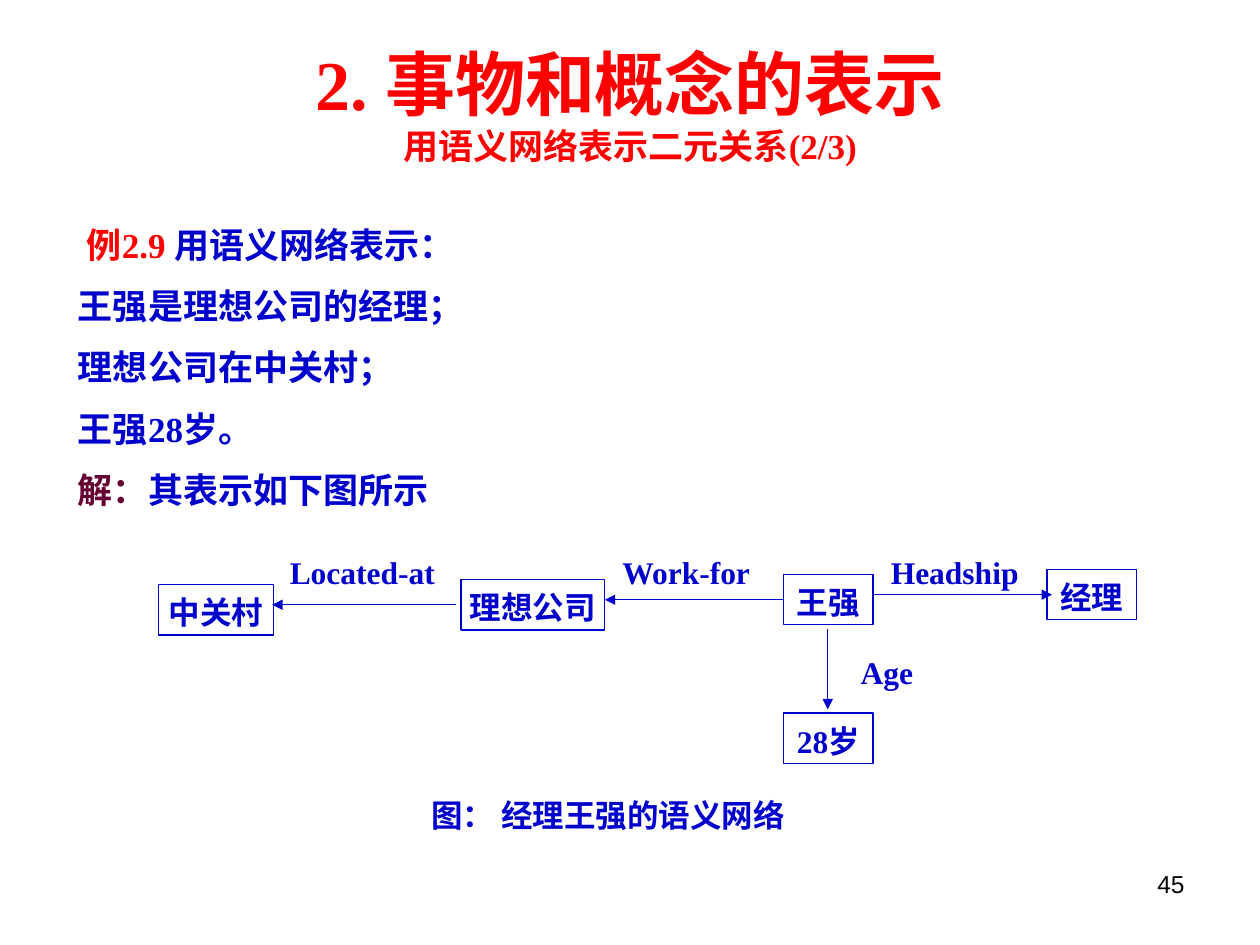
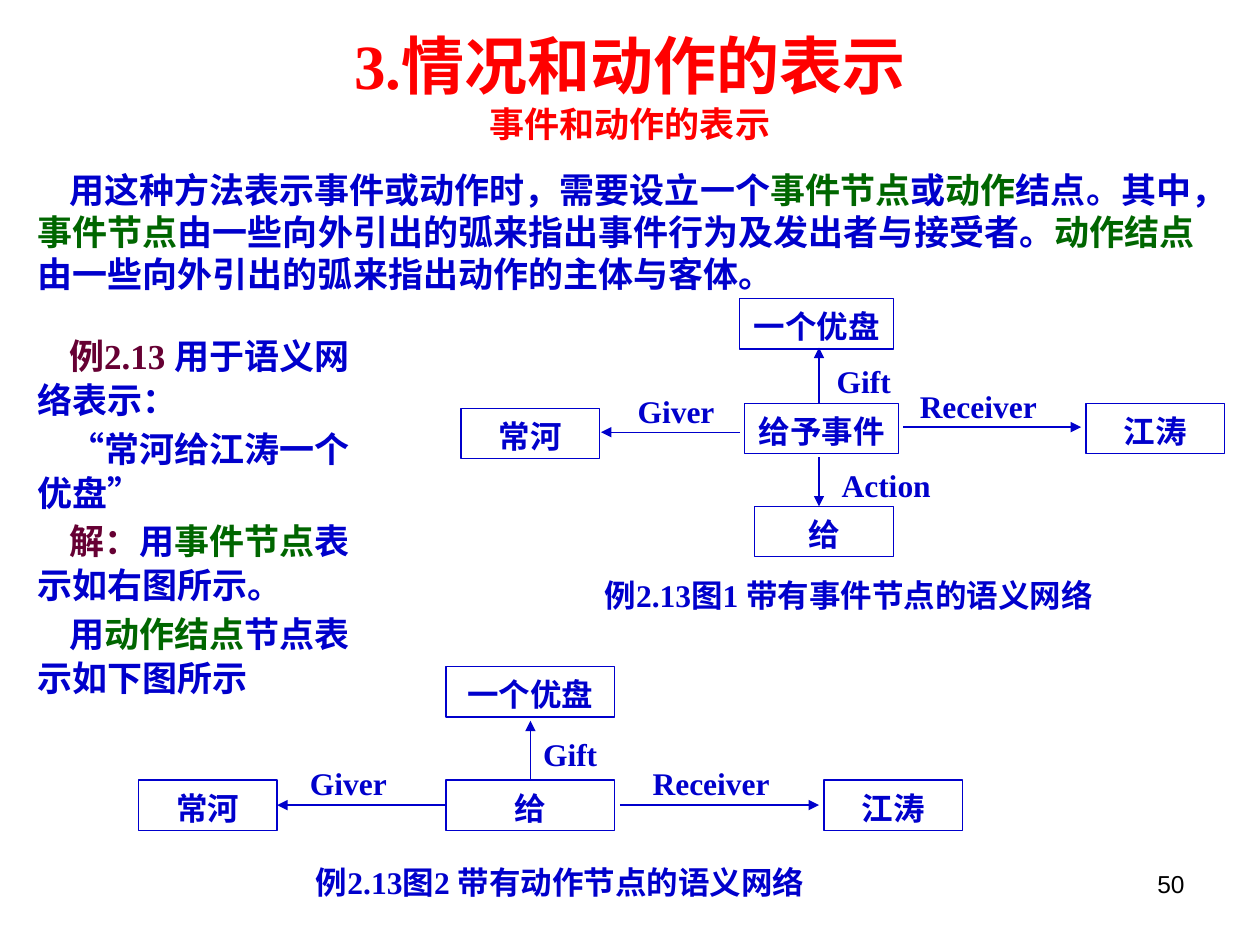
from lxml import etree
from pptx import Presentation
from pptx.dml.color import RGBColor
from pptx.enum.shapes import MSO_CONNECTOR, MSO_SHAPE
from pptx.enum.text import MSO_ANCHOR, PP_ALIGN
from pptx.oxml.ns import qn
from pptx.util import Inches, Pt

LEFT, CENTER, RIGHT = PP_ALIGN.LEFT, PP_ALIGN.CENTER, PP_ALIGN.RIGHT
TOP, MIDDLE = MSO_ANCHOR.TOP, MSO_ANCHOR.MIDDLE
RECTANGLE, STRAIGHT = MSO_SHAPE.RECTANGLE, MSO_CONNECTOR.STRAIGHT

COLORS = {"title": "FF0000", "text": "0000CC", "term": "006600",
          "lead": "660033", "number": "000000"}
SERIF, SANS, HAN = "Times New Roman", "Arial", "Noto Sans CJK SC"
LINE_HEIGHT = 1.2   # of the text size
TEXT_DROP = 0.02    # inches, levels the Han font's deep descent
BOX_HEIGHT, LABEL_HEIGHT = 0.4, 0.32
INDENT = 0.25

# Paragraphs are lists of (text, colour) spans.
# Boxes: text, left, top, width. Labels: the same. Arrows: from x, y, to x, y.
PAGES = [
    {
        "number": "45",
        "title": ("2. 事物和概念的表示", 40),
        "subtitle": "用语义网络表示二元关系(2/3)",
        "title_middle": 0.8,
        "bodies": [
            {"at": (0.27, 1.55, 9.29, 2.53), "spacing": 35,
             "margin": INDENT, "indents": [0.07, 0, 0, 0, 0],
             "paragraphs": [
                 [("例2.9 ", "title"), ("用语义网络表示：", "text")],
                 [("王强是理想公司的经理；", "text")],
                 [("理想公司在中关村；", "text")],
                 [("王强28岁。", "text")],
                 [("解：", "lead"), ("其表示如下图所示", "text")],
             ]},
        ],
        "boxes": [
            ("中关村", 1.26, 4.64, 0.91),
            ("理想公司", 3.66, 4.6, 1.14),
            ("王强", 6.22, 4.56, 0.71),
            ("经理", 8.31, 4.52, 0.71),
            ("28岁", 6.22, 5.66, 0.71),
        ],
        "labels": [
            ("Located-at", 2.28, 4.36, 1.34),
            ("Work-for", 4.92, 4.36, 1.14),
            ("Headship", 7.05, 4.36, 1.18),
            ("Age", 6.81, 5.15, 0.51),
        ],
        "arrows": [
            (3.62, 4.8, 2.16, 4.8),
            (6.22, 4.76, 4.8, 4.76),
            (6.93, 4.72, 8.35, 4.72),
            (6.57, 4.99, 6.57, 5.63),
        ],
        "captions": [("图： 经理王强的语义网络", 2.64, 6.25, 4.37)],
    },
    {
        "number": "50",
        "title": ("3.情况和动作的表示", 36),
        "subtitle": "事件和动作的表示",
        "title_middle": 0.66,
        "bodies": [
            {"at": (0.2, 1.27, 9.57, 1.1), "spacing": 24, "indents": [INDENT],
             "paragraphs": [
                 [("用这种方法表示事件或动作时，需要设立一个", "text"),
                  ("事件节点", "term"), ("或", "text"), ("动作", "term"),
                  ("结点。其中，", "text"), ("事件节点", "term"),
                  ("由一些向外引出的弧来指出事件行为及发出者与接受者。", "text"),
                  ("动作结点", "term"),
                  ("由一些向外引出的弧来指出动作的主体与客体。", "text")],
             ]},
            {"at": (0.2, 2.57, 2.84, 3.01), "spacing": 25.2, "gap": 2.4,
             "indents": [INDENT] * 4,
             "paragraphs": [
                 [("例2.13 ", "lead"), ("用于语义网络表示：", "text")],
                 [("“常河给江涛一个优盘”", "text")],
                 [("解：", "lead"), ("用", "text"), ("事件节点", "term"),
                  ("表示如右图所示。", "text")],
                 [("用", "text"), ("动作结点", "term"),
                  ("节点表示如下图所示", "text")],
             ]},
        ],
        "boxes": [
            ("给予事件", 5.91, 3.2, 1.22),
            ("一个优盘", 5.87, 2.37, 1.22),
            ("常河", 3.66, 3.24, 1.1),
            ("江涛", 8.62, 3.2, 1.1),
            ("给", 5.99, 4.02, 1.1),
            ("给", 3.54, 6.19, 1.34),
            ("常河", 1.1, 6.19, 1.1),
            ("江涛", 6.54, 6.19, 1.1),
            ("一个优盘", 3.54, 5.29, 1.34),
        ],
        "labels": [
            ("Gift", 6.62, 2.84, 0.55),
            ("Receiver", 7.28, 3.04, 1.1),
            ("Giver", 5.04, 3.08, 0.71),
            ("Action", 6.66, 3.67, 0.94),
            ("Gift", 4.29, 5.8, 0.59),
            ("Receiver", 5.16, 6.03, 1.1),
            ("Giver", 2.44, 6.03, 0.78),
        ],
        "arrows": [
            (6.5, 3.2, 6.5, 2.76),
            (5.87, 3.43, 4.77, 3.43),
            (7.17, 3.39, 8.58, 3.39),
            (6.5, 3.63, 6.5, 4.02),
            (4.21, 6.19, 4.21, 5.72),
            (3.54, 6.39, 2.2, 6.39),
            (4.92, 6.39, 6.5, 6.39),
        ],
        "captions": [
            ("例2.13图1 带有事件节点的语义网络", 4.49, 4.5, 4.49),
            ("例2.13图2 带有动作节点的语义网络", 2.2, 6.78, 4.49),
        ],
    },
]


def rgb(name):
    return RGBColor.from_string(COLORS[name])


def write(shape, paragraphs, sizes=(18,), align=LEFT, anchor=TOP, font=SERIF,
          bold=True, inset=(0.02, 0.05), spacing=None, gap=0, margin=0,
          indents=()):
    """Fill a shape with paragraphs; the last size serves all that remain."""
    frame = shape.text_frame
    frame.word_wrap = True
    frame.vertical_anchor = anchor
    side, edge = inset
    frame.margin_left = frame.margin_right = Inches(side)
    frame.margin_top = Inches(edge + TEXT_DROP)
    frame.margin_bottom = Inches(max(edge - TEXT_DROP, 0))
    for index, spans in enumerate(paragraphs):
        para = frame.add_paragraph() if index else frame.paragraphs[0]
        size = sizes[min(index, len(sizes) - 1)]
        para.alignment = align
        para.line_spacing = Pt(spacing or size * LINE_HEIGHT)
        para.space_before = Pt(gap if index else 0)
        if indents:
            properties = para._p.get_or_add_pPr()
            properties.set("marL", str(Inches(margin)))
            properties.set("indent", str(Inches(indents[index])))
        for text, color in spans:
            span = para.add_run()
            span.text = text
            span.font.size = Pt(size)
            span.font.bold = bold
            span.font.name = font
            span.font.color.rgb = rgb(color)
            han = etree.SubElement(span._r.get_or_add_rPr(), qn("a:ea"))
            han.set("typeface", HAN)


def add_text(page, at, paragraphs, **text_format):
    box = page.shapes.add_textbox(*map(Inches, at))
    write(box, paragraphs, **text_format)


def add_node(page, text, left, top, width):
    node = page.shapes.add_shape(
        RECTANGLE, *map(Inches, (left, top, width, BOX_HEIGHT)))
    node.shadow.inherit = False
    node.fill.background()
    node.line.color.rgb = rgb("text")
    node.line.width = Pt(0.75)
    write(node, [[(text, "text")]], align=CENTER)


def add_arrow(page, ends):
    arrow = page.shapes.add_connector(STRAIGHT, *map(Inches, ends))
    arrow.line.color.rgb = rgb("text")
    arrow.line.width = Pt(0.75)
    etree.SubElement(arrow.line._get_or_add_ln(), qn("a:tailEnd"),
                     type="triangle")
    etree.SubElement(arrow._element.spPr, qn("a:effectLst"))


def add_frame(page, content):
    """Add the page number and the two-line title."""
    add_text(page, (7.17, 6.83, 2.33, 0.52), [[(content["number"], "number")]],
             sizes=(14,), align=RIGHT, font=SANS, bold=False,
             inset=(0.1, 0.05))
    title, size = content["title"]
    height = 1.1
    add_text(page, (0.5, content["title_middle"] - height / 2, 9, height),
             [[(title, "title")], [(content["subtitle"], "title")]],
             sizes=(size, 20), align=CENTER, anchor=MIDDLE)


def build_page(deck, content):
    page = deck.slides.add_slide(deck.slide_layouts[6])
    add_frame(page, content)
    for body in content["bodies"]:
        text_format = dict(body)
        add_text(page, text_format.pop("at"), text_format.pop("paragraphs"),
                 sizes=(20,), inset=(0.1, 0.05), **text_format)
    for ends in content["arrows"]:
        add_arrow(page, ends)
    for node in content["boxes"]:
        add_node(page, *node)
    for text, left, top, width in content["labels"]:
        add_text(page, (left, top, width, LABEL_HEIGHT), [[(text, "text")]],
                 inset=(0.02, 0.01))
    for text, left, top, width in content["captions"]:
        add_text(page, (left, top, width, BOX_HEIGHT), [[(text, "text")]],
                 align=CENTER)


def main():
    deck = Presentation()
    deck.slide_width, deck.slide_height = Inches(10), Inches(7.5)
    for content in PAGES:
        build_page(deck, content)
    deck.save("out.pptx")


if __name__ == "__main__":
    main()
